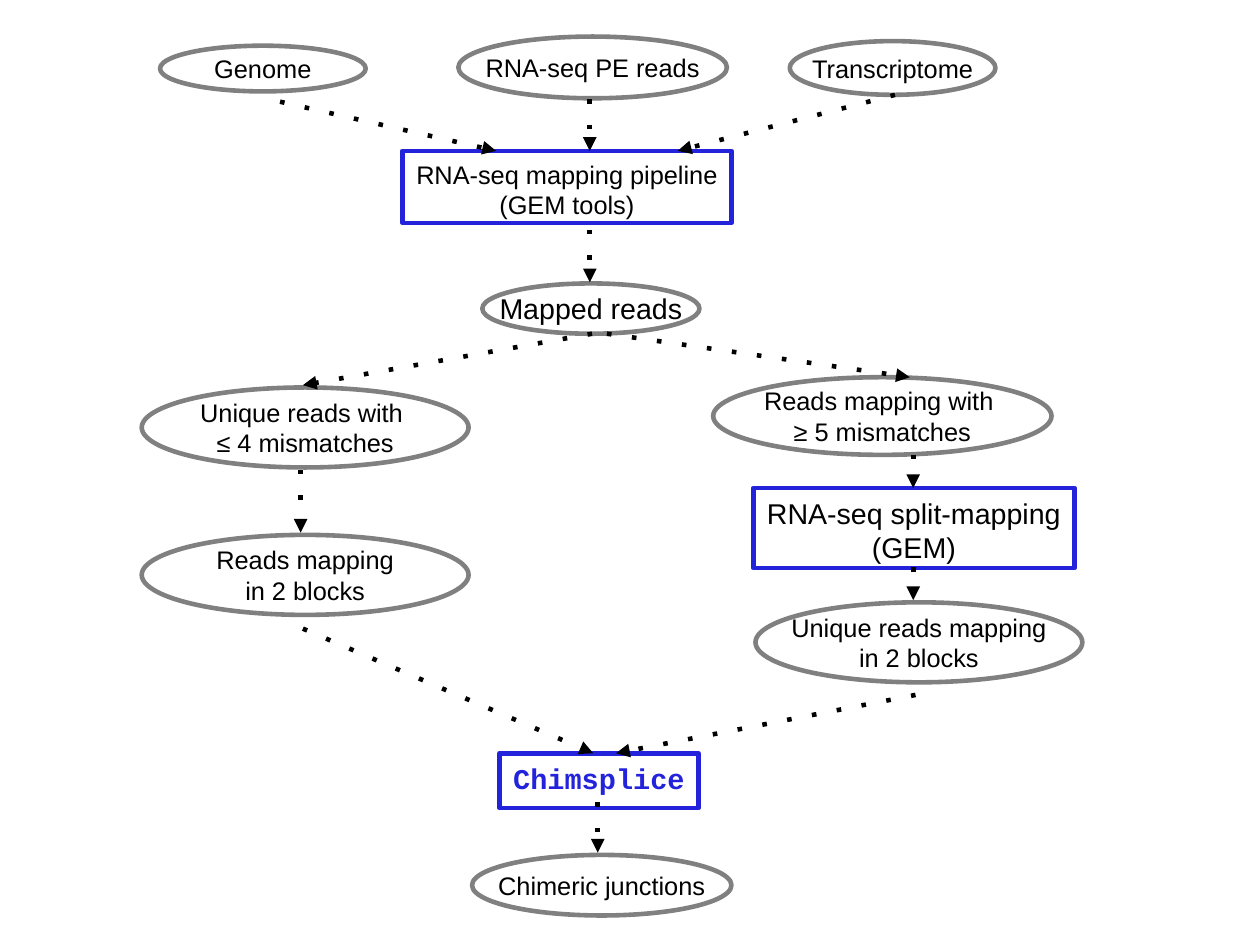
from collections import namedtuple

from lxml import etree
from pptx import Presentation
from pptx.dml.color import RGBColor
from pptx.enum.shapes import MSO_CONNECTOR, MSO_SHAPE
from pptx.enum.text import MSO_ANCHOR, PP_ALIGN
from pptx.oxml.ns import qn
from pptx.util import Cm, Inches, Pt

ELLIPSE, RECTANGLE = MSO_SHAPE.OVAL, MSO_SHAPE.RECTANGLE
STRAIGHT = MSO_CONNECTOR.STRAIGHT
TOP, MIDDLE = MSO_ANCHOR.TOP, MSO_ANCHOR.MIDDLE
CENTER = PP_ALIGN.CENTER

COLORS = {"data": "808080", "tool": "2323DC", "ink": "000000"}
UNIT = Inches(0.1)
LINE_WIDTH = Pt(2.89)

Region = namedtuple("Region", "slide left top")


def color(name):
    """Return the named colour."""
    return RGBColor.from_string(COLORS[name])


def add_node(region, cell, label, preset, outline, anchor, size, font, ink):
    """Draw an outlined, labelled step at a cell of its region."""
    left, top, width, height = cell
    node = region.slide.shapes.add_shape(
        preset, round((region.left + left) * UNIT), round((region.top + top) * UNIT),
        round(width * UNIT), round(height * UNIT))
    node.shadow.inherit = False
    node.fill.background()
    node.line.color.rgb = color(outline)
    node.line.width = LINE_WIDTH
    frame = node.text_frame
    frame.word_wrap = False
    frame.vertical_anchor = anchor
    frame.margin_left = frame.margin_right = Inches(0.12)
    frame.margin_top = frame.margin_bottom = Inches(0.07)
    frame.text = label
    for paragraph in frame.paragraphs:
        paragraph.alignment = CENTER
        for run in paragraph.runs:
            run.font.size = Pt(size)
            run.font.name = font
            run.font.color.rgb = color(ink)
            run.font.bold = ink == "tool"


def add_data(region, cell, label, size=16):
    """Draw a data set as a grey ellipse."""
    add_node(region, cell, label, ELLIPSE, "data", MIDDLE, size, "Arial", "ink")


def add_tool(region, cell, label, size=18, font="Arial", ink="ink"):
    """Draw a program as a blue rectangle."""
    add_node(region, cell, label, RECTANGLE, "tool", TOP, size, font, ink)


def add_flow(region, start, end):
    """Draw a dotted arrow between two points of a region."""
    x1, y1, x2, y2 = (
        round((origin + offset) * UNIT)
        for origin, offset in zip((region.left, region.top) * 2, start + end))
    flow = region.slide.shapes.add_connector(STRAIGHT, x1, y1, x2, y2)
    flow.line.color.rgb = color("ink")
    flow.line.width = LINE_WIDTH
    outline = flow.line._get_or_add_ln()
    dashes = etree.SubElement(outline, qn("a:custDash"))
    etree.SubElement(dashes, qn("a:ds"), d="100000", sp="450000")
    etree.SubElement(outline, qn("a:tailEnd"), type="triangle")
    etree.SubElement(flow._element.spPr, qn("a:effectLst"))


def draw_mapping(region):
    """Draw the mapping pipeline and its mapped reads."""
    add_tool(region, (0, 0, 28.8, 6.3), "RNA-seq mapping pipeline\n(GEM tools)", 16)
    add_data(region, (7, 11.6, 19, 4.4), "Mapped reads", 18)
    add_flow(region, (16.4, 6.9), (16.4, 11.5))


def draw_inputs(region):
    """Draw the three inputs that feed the pipeline."""
    add_data(region, (0, 0.8, 18, 4), "Genome")
    add_data(region, (55.1, 0.4, 18, 4.7), "Transcriptome")
    add_data(region, (26.1, 0, 23.5, 5.4), "RNA-seq PE reads")
    add_flow(region, (10.5, 5.7), (29.4, 10))
    add_flow(region, (64.3, 5.1), (45.3, 10))
    add_flow(region, (37.6, 5.5), (37.6, 10))


def draw_result(region):
    """Draw the junction finder and its result."""
    add_tool(region, (2.4, 0, 17.4, 4.8), "Chimsplice", 18, "Courier New", "tool")
    add_data(region, (0, 8.9, 22.7, 5.3), "Chimeric junctions")
    add_flow(region, (11, 4.3), (11, 8.7))


def draw_unique_branch(region):
    """Draw the branch of reads with few mismatches."""
    add_data(region, (0, 0, 28.6, 7), "Unique reads with \n≤ 4 mismatches")
    add_data(region, (0, 12.9, 28.6, 7), "Reads mapping\nin 2 blocks")
    add_flow(region, (39.4, -4.7), (14.1, -0.2))
    add_flow(region, (13.9, 7.2), (13.9, 12.7))
    add_flow(region, (14.1, 21.1), (39.5, 32))


def draw_split_branch(region):
    """Draw the branch of reads that are split-mapped."""
    add_data(region, (0, 0, 29.6, 6.8), "Reads mapping with \n≥ 5 mismatches")
    add_tool(region, (3.5, 9.7, 28.1, 7), "RNA-seq split-mapping\n(GEM)")
    add_data(region, (3.7, 19.7, 28.6, 7), "Unique reads mapping\nin 2 blocks")
    add_flow(region, (-9.3, -3.8), (17.2, 0))
    add_flow(region, (17.5, 6.8), (17.5, 9.7))
    add_flow(region, (17.5, 16.6), (17.5, 19.5))
    add_flow(region, (17.7, 27.8), (-8.5, 32.9))


def main():
    """Build the workflow slide and save it."""
    deck = Presentation()
    deck.slide_width = Cm(28)
    deck.slide_height = Cm(21)
    slide = deck.slides.add_slide(deck.slide_layouts[6])
    draw_mapping(Region(slide, 35.2, 13.2))
    draw_inputs(Region(slide, 14, 3.2))
    draw_result(Region(slide, 41.3, 65.9))
    draw_unique_branch(Region(slide, 12.4, 33.9))
    draw_split_branch(Region(slide, 62.4, 33))
    deck.save("out.pptx")


if __name__ == "__main__":
    main()
